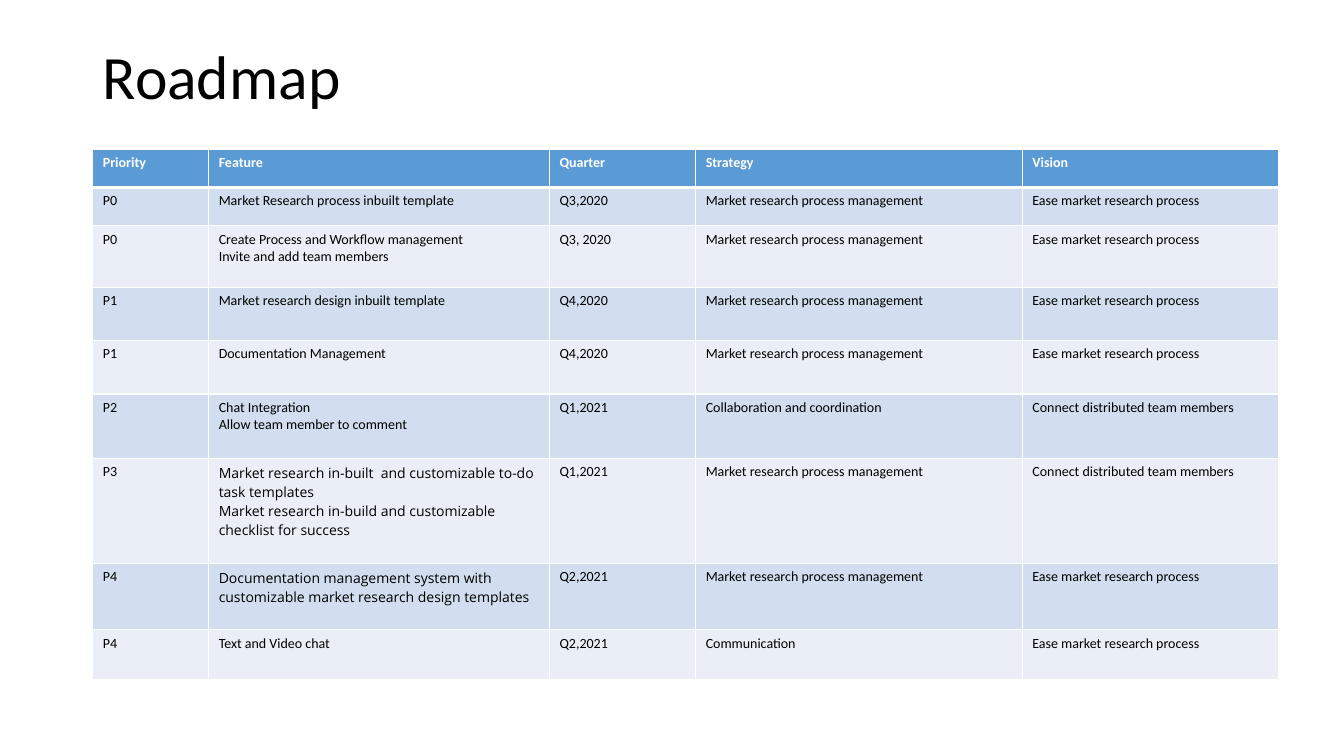
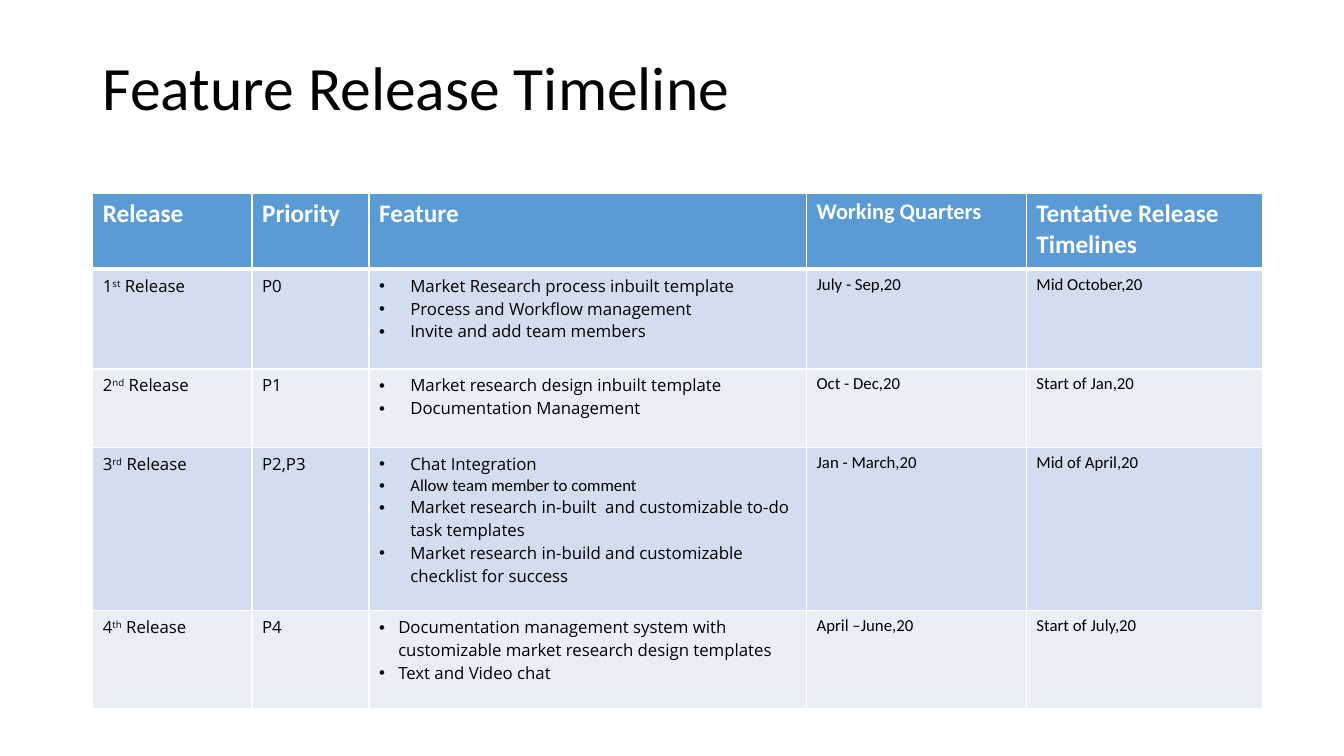
from dataclasses import dataclass
from itertools import chain
from typing import Optional, Union

from lxml.etree import SubElement
from pptx import Presentation
from pptx.dml.color import RGBColor
from pptx.enum.text import MSO_ANCHOR, MSO_AUTO_SIZE, PP_ALIGN
from pptx.oxml.ns import qn
from pptx.util import Inches, Pt


@dataclass(frozen=True)
class Theme:
    """Colours, fonts, type sizes and line widths of the deck."""
    head: str = "5B9BD5"
    bands: tuple[str, str] = ("D2DEEF", "EAEFF7")
    white: str = "FFFFFF"
    black: str = "000000"
    main: str = "Calibri"
    open: str = "Open Sans"
    title: float = 44
    thin: float = 1
    thick: float = 3


@dataclass(frozen=True)
class Line:
    """One paragraph; ^ marks switch superscript on and off."""
    text: str
    face: Optional[str] = None
    size: Optional[float] = None
    dent: float = 0


Cell = Union[str, Line, list[Line]]


@dataclass(frozen=True)
class Page:
    """A titled slide with one table."""
    title: str
    tall: float
    top: float
    cols: list[float]
    rows: list[float]
    faces: list[str]
    head: float
    body: float
    cells: list[list[Cell]]


THEME = Theme()
LEFT = 0.92


def points(dent: float, *texts: str) -> list[Line]:
    """Make bulleted lines with one hanging indent."""
    return [Line(text, dent=dent) for text in texts]


def style(font, face: str, size: float, color: str, bold: bool = False) -> None:
    """Set the look of a font."""
    font.name, font.size, font.bold = face, Pt(size), bold
    font.color.rgb = RGBColor.from_string(color)


def lines(cell: Cell) -> list[Line]:
    """Turn any cell content into a list of lines."""
    if isinstance(cell, str):
        return [Line(text) for text in cell.split("\n")]
    return [cell] if isinstance(cell, Line) else cell


def add_bullet(para, dent: float) -> None:
    """Give a paragraph a bullet and a hanging indent."""
    props = para._p.get_or_add_pPr()
    props.set("marL", str(Inches(dent)))
    props.set("indent", str(-Inches(dent)))
    SubElement(props, qn("a:buFont")).set("typeface", "Arial")
    SubElement(props, qn("a:buChar")).set("char", "•")


def add_edges(cell, top: float, low: float) -> None:
    """Draw white borders round a cell."""
    props = cell._tc.get_or_add_tcPr()
    widths = {"L": THEME.thin, "R": THEME.thin, "T": top, "B": low}
    for side, width in widths.items():
        edge = SubElement(props, qn(f"a:ln{side}"), w=str(Pt(width)))
        fill = SubElement(edge, qn("a:solidFill"))
        SubElement(fill, qn("a:srgbClr")).set("val", THEME.white)


def fill_cell(cell, data: Cell, face: str, size: float, row: int) -> None:
    """Write and format one table cell."""
    head = row == 0
    add_edges(cell, THEME.thick if row == 1 else THEME.thin,
              THEME.thick if head else THEME.thin)
    cell.fill.solid()
    shade = THEME.head if head else THEME.bands[(row - 1) % 2]
    cell.fill.fore_color.rgb = RGBColor.from_string(shade)
    items = lines(data)
    frame = cell.text_frame
    frame.text = "\n" * (len(items) - 1)
    for para, item in zip(frame.paragraphs, items):
        if item.dent:
            add_bullet(para, item.dent)
        for place, text in enumerate(item.text.split("^")):
            run = para.add_run()
            run.text = text
            style(run.font, item.face or face, item.size or size,
                  THEME.white if head else THEME.black, head)
            if place % 2:
                run._r.get_or_add_rPr().set("baseline", "30000")


def add_title(slide, page: Page) -> None:
    """Place and format the title."""
    shape = slide.shapes.title
    shape.left, shape.top = Inches(LEFT), Inches(0.4)
    shape.width, shape.height = Inches(11.5), Inches(page.tall)
    frame = shape.text_frame
    frame.text = page.title
    frame.auto_size = MSO_AUTO_SIZE.NONE
    frame.vertical_anchor = MSO_ANCHOR.MIDDLE
    para = frame.paragraphs[0]
    para.alignment, para.line_spacing = PP_ALIGN.LEFT, 0.9
    style(para.runs[0].font, THEME.main, THEME.title, THEME.black)


def add_grid(slide, page: Page) -> None:
    """Draw the table of a page."""
    table = slide.shapes.add_table(
        len(page.rows), len(page.cols), Inches(LEFT), Inches(page.top),
        Inches(sum(page.cols)), Inches(sum(page.rows))).table
    for col, width in zip(table.columns, page.cols):
        col.width = Inches(width)
    for row, height in zip(table.rows, page.rows):
        row.height = Inches(height)
    data = chain.from_iterable(page.cells)
    for place, (cell, item) in enumerate(zip(table.iter_cells(), data)):
        row, col = divmod(place, len(page.cols))
        face = page.faces[col] if row else THEME.main
        fill_cell(cell, item, face, page.body if row else page.head, row)


MANAGE = "Market research process management"
EASE = "Ease market research process"
LINK = "Connect distributed team members"
DESIGN = "Market research design inbuilt template"
TASKS = "Market research in-built  and customizable to-do task templates"
CHECK = "Market research in-build and customizable checklist for success"
SYSTEM = ("Documentation management system with customizable "
          "market research design templates")
START = "Market Research process inbuilt template"
FLOW = "Process and Workflow management"
INVITE = "Invite and add team members"
DOCS = "Documentation Management"
JOIN = "Chat Integration"
NOTE = "Allow team member to comment"
CHAT = "Text and Video chat"
WIDE, SLIM = 0.31, 0.19

PAGES = [
    Page("Roadmap", 0.78, 1.48,
         cols=[1.15, 3.38, 1.45, 3.24, 2.54],
         rows=[0.38, 0.38, 0.61, 0.53, 0.53, 0.64, 1.04, 0.66, 0.49],
         faces=[THEME.main] * 5, head=10, body=10,
         cells=[
             ["Priority", "Feature", "Quarter", "Strategy", "Vision"],
             ["P0", START, "Q3,2020", MANAGE, EASE],
             ["P0", f"Create {FLOW}\n{INVITE}", "Q3, 2020", MANAGE, EASE],
             ["P1", DESIGN, "Q4,2020", MANAGE, EASE],
             ["P1", DOCS, "Q4,2020", MANAGE, EASE],
             ["P2", f"{JOIN}\n{NOTE}", "Q1,2021",
              "Collaboration and coordination", LINK],
             ["P3", [Line(TASKS, THEME.open), Line(CHECK, THEME.open)],
              "Q1,2021", MANAGE, LINK],
             ["P4", Line(SYSTEM, THEME.open), "Q2,2021", MANAGE, EASE],
             ["P4", CHAT, "Q2,2021", "Communication", EASE],
         ]),
    Page("Feature Release Timeline", 0.99, 1.92,
         cols=[1.58, 1.16, 4.34, 2.18, 2.34],
         rows=[0.75, 0.99, 0.78, 1.62, 0.97],
         faces=[THEME.open] * 3 + [THEME.main] * 2, head=18, body=12,
         cells=[
             ["Release", "Priority", "Feature",
              Line("Working Quarters", size=16),
              "Tentative Release Timelines"],
             ["1^st^ Release", "P0", points(WIDE, START, FLOW, INVITE),
              "July - Sep,20", "Mid October,20"],
             ["2^nd^ Release", "P1", points(WIDE, DESIGN, DOCS),
              "Oct - Dec,20", "Start of Jan,20"],
             ["3^rd^ Release", "P2,P3",
              [*points(WIDE, JOIN), Line(NOTE, THEME.main, dent=WIDE),
               *points(WIDE, TASKS, CHECK)],
              "Jan - March,20", "Mid of April,20"],
             ["4^th^ Release", "P4", points(SLIM, SYSTEM, CHAT),
              "April –June,20", "Start of July,20"],
         ]),
]


def main() -> None:
    """Build and save the deck."""
    deck = Presentation()
    deck.slide_width, deck.slide_height = Inches(13.33), Inches(7.5)
    for page in PAGES:
        slide = deck.slides.add_slide(deck.slide_layouts[5])
        add_title(slide, page)
        add_grid(slide, page)
    deck.save("out.pptx")


main()
